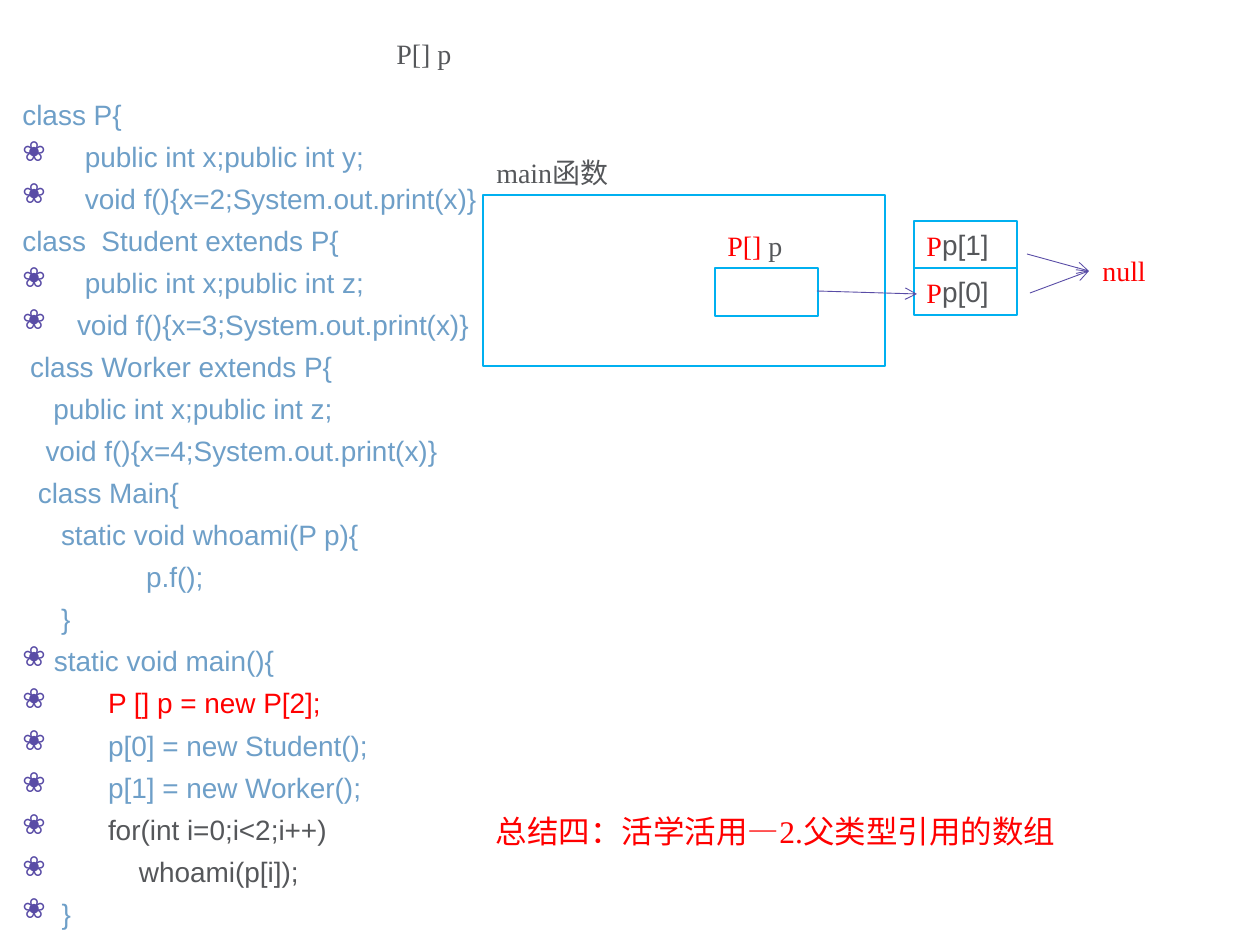
from lxml.etree import SubElement
from pptx import Presentation
from pptx.dml.color import RGBColor
from pptx.enum.shapes import MSO_CONNECTOR, MSO_SHAPE
from pptx.enum.text import MSO_ANCHOR, MSO_AUTO_SIZE, PP_ALIGN
from pptx.oxml.ns import qn
from pptx.util import Emu, Pt

PX = 914400 / 126
WHITE = RGBColor(0xFF, 0xFF, 0xFF)
RED = RGBColor(0xFF, 0x00, 0x00)
GRAY = RGBColor(0x55, 0x57, 0x5A)
BLUE = RGBColor(0x6E, 0x9F, 0xC8)
CYAN = RGBColor(0x00, 0xB0, 0xF0)
PURPLE = RGBColor(0x59, 0x4C, 0xA6)
SANS, SERIF = "Arial", "Times New Roman"

# Each line: bulleted, text, colour
CODE = [
    (False, "class P{", BLUE),
    (True, "    public int x;public int y;", BLUE),
    (True, "    void f(){x=2;System.out.print(x)}", BLUE),
    (False, "class  Student extends P{", BLUE),
    (True, "    public int x;public int z;", BLUE),
    (True, "   void f(){x=3;System.out.print(x)}", BLUE),
    (False, " class Worker extends P{", BLUE),
    (False, "    public int x;public int z;", BLUE),
    (False, "   void f(){x=4;System.out.print(x)}", BLUE),
    (False, "  class Main{", BLUE),
    (False, "     static void whoami(P p){", BLUE),
    (False, "                p.f();", BLUE),
    (False, "     }", BLUE),
    (True, "static void main(){", BLUE),
    (True, "       P [] p = new P[2];", RED),
    (True, "       p[0] = new Student();", BLUE),
    (True, "       p[1] = new Worker();", BLUE),
    (True, "       for(int i=0;i<2;i++)", GRAY),
    (True, "           whoami(p[i]);", GRAY),
    (True, " }", BLUE),
]


def px(*values):
    return [Emu(round(value * PX)) for value in values]


def apply_format(target, values):
    for name, value in values.items():
        setattr(target, name, value)


def add_run(paragraph, text, color, font=SERIF, size=16):
    run = paragraph.add_run()
    run.text = text
    apply_format(run.font, {"name": font, "size": Pt(size)})
    run.font.color.rgb = color


def add_label(slide, box, runs, size=16, **frame_format):
    frame = slide.shapes.add_textbox(*px(*box)).text_frame
    apply_format(frame, {"word_wrap": True,
                         "auto_size": MSO_AUTO_SIZE.SHAPE_TO_FIT_TEXT,
                         **frame_format})
    paragraph = frame.paragraphs[0]
    for text, color in runs:
        add_run(paragraph, text, color, size=size)
    return paragraph


def add_box(slide, box, text=""):
    shape = slide.shapes.add_shape(MSO_SHAPE.RECTANGLE, *px(*box))
    shape.shadow.inherit = False
    shape.fill.solid()
    shape.fill.fore_color.rgb = WHITE
    shape.line.color.rgb = CYAN
    shape.line.width = Pt(1)
    if text:
        shape.text_frame.vertical_anchor = MSO_ANCHOR.MIDDLE
        paragraph = shape.text_frame.paragraphs[0]
        paragraph.alignment = PP_ALIGN.CENTER
        add_run(paragraph, text, GRAY, SANS)


def add_arrow(slide, start, end):
    arrow = slide.shapes.add_connector(MSO_CONNECTOR.STRAIGHT, *px(*start, *end))
    arrow.line.color.rgb = PURPLE
    arrow.line.width = Pt(0.5)
    SubElement(arrow.line._get_or_add_ln(), qn("a:tailEnd"), type="arrow")
    SubElement(arrow._element.spPr, qn("a:effectLst"))


def set_hanging_indent(paragraph, bulleted):
    properties = paragraph._p.get_or_add_pPr()
    indent = round(0.25 * 914400)
    properties.set("marL", str(indent))
    properties.set("indent", str(-indent))
    if bulleted:
        color = SubElement(properties, qn("a:buClr"))
        SubElement(color, qn("a:srgbClr"), val=str(PURPLE))
        SubElement(properties, qn("a:buChar"), char="❀")


def add_code(slide, box):
    frame = slide.shapes.add_textbox(*px(*box)).text_frame
    frame.word_wrap = True
    for index, (bulleted, text, color) in enumerate(CODE):
        paragraph = frame.add_paragraph() if index else frame.paragraphs[0]
        set_hanging_indent(paragraph, bulleted)
        apply_format(paragraph, {"line_spacing": 0.7,
                                 "space_before": Pt(10.6 if index else 0)})
        add_run(paragraph, text, color, SANS)


def add_array(slide, left, top, width, height):
    """Stack the array elements, each with its red type letter."""
    for row, name in enumerate(["p[1]", "p[0]"]):
        y = top + row * height
        add_box(slide, (left, y, width, height), name)
        add_label(slide, (left, y + 1, 116, 47), [("P", RED)])


def main():
    presentation = Presentation()
    presentation.slide_width, presentation.slide_height = px(1260, 945)
    slide = presentation.slides.add_slide(presentation.slide_layouts[6])

    add_code(slide, (10, 100, 568, 815))
    add_box(slide, (483, 195, 402, 171))
    add_label(slide, (484, 149, 393, 47), [("main函数", GRAY)])
    add_box(slide, (715, 268, 103, 48))
    add_label(slide, (715, 222, 147, 47), [("P[]", RED), (" p", GRAY)])
    add_array(slide, 914, 221, 103, 47)

    add_arrow(slide, (817, 291), (917, 294))
    add_arrow(slide, (1030, 293), (1089, 271))
    add_arrow(slide, (1027, 254), (1089, 271))

    summary = add_label(slide, (476, 806, 599, 51),
                        [("总结四：活学活用—2.父类型引用的数组", RED)],
                        size=18, word_wrap=False)
    summary.alignment = PP_ALIGN.CENTER
    add_label(slide, (384, 30, 147, 47), [("P[] p", GRAY)])
    add_label(slide, (1090, 247, 116, 47), [("null", RED)])

    presentation.save("out.pptx")


if __name__ == "__main__":
    main()
